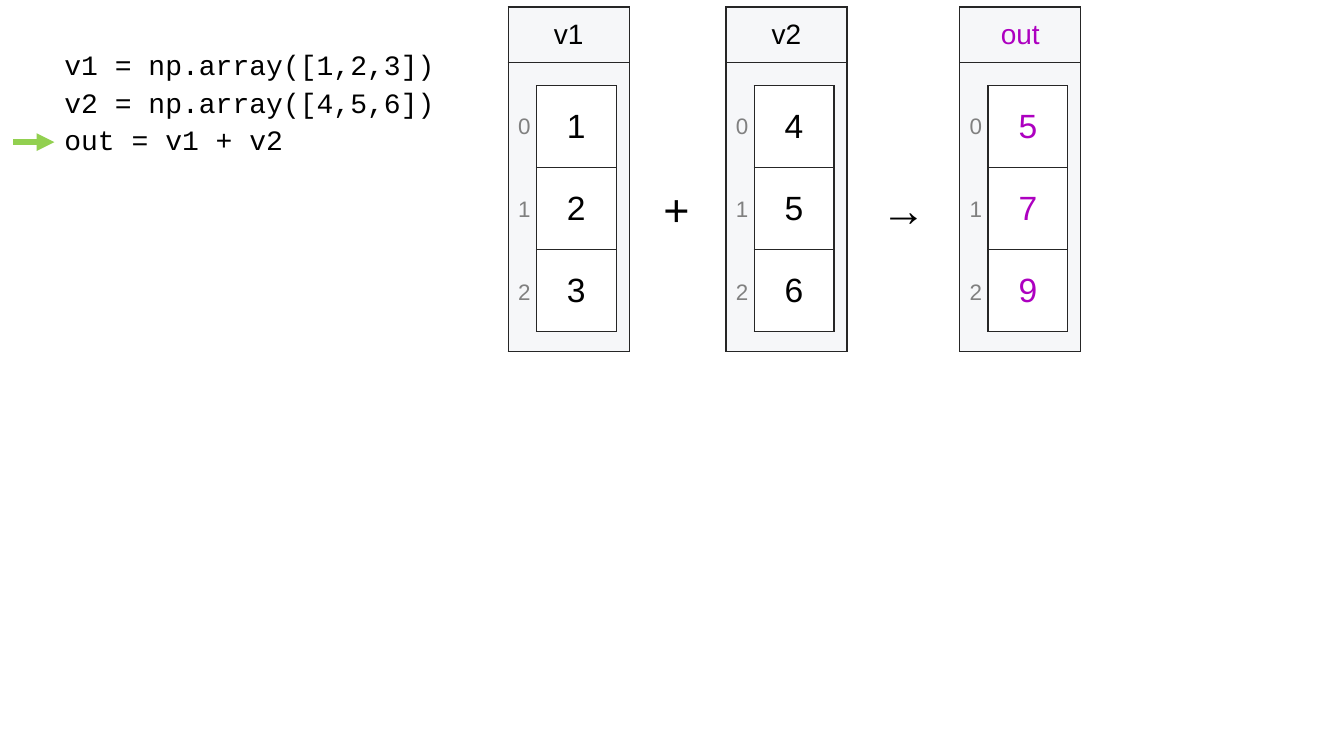
from lxml import etree
from pptx import Presentation
from pptx.dml.color import RGBColor
from pptx.enum.shapes import MSO_CONNECTOR
from pptx.enum.text import MSO_ANCHOR, MSO_AUTO_SIZE, PP_ALIGN
from pptx.oxml.ns import qn
from pptx.util import Inches, Pt

STRAIGHT = MSO_CONNECTOR.STRAIGHT
MIDDLE = MSO_ANCHOR.MIDDLE
CENTER = PP_ALIGN.CENTER
FIT_SHAPE = MSO_AUTO_SIZE.SHAPE_TO_FIT_TEXT

BLACK = RGBColor(0x00, 0x00, 0x00)
WHITE = RGBColor(0xFF, 0xFF, 0xFF)
BORDER = RGBColor(0x26, 0x26, 0x26)
PANEL = RGBColor(0xF6, 0xF7, 0xF9)
GREY = RGBColor(0x80, 0x80, 0x80)
GREEN = RGBColor(0x92, 0xD0, 0x50)
PURPLE = RGBColor(0xAD, 0x00, 0xC0)

COL, ROW = 0.12, 0.075  # grid pitch in inches
SANS, MONO = "Arial", "Courier New"


class ArrayDiagram:
    """Draws on one slide; positions and sizes are grid columns and rows."""

    def __init__(self, slide):
        self.s = slide

    def x(self, cols):
        return Inches(cols * COL)

    def y(self, rows):
        return Inches(rows * ROW)

    def run(self, p, text, size, color, font):
        r = p.add_run()
        r.text = text
        r.font.size = Pt(size)
        r.font.name = font
        r.font.color.rgb = color

    def text(self, text, left, top, width, height, size,
             color=BLACK, font=SANS, wrap=False):
        sp = self.s.shapes.add_textbox(
            self.x(left), self.y(top), self.x(width), self.y(height))
        tf = sp.text_frame
        tf.word_wrap = wrap
        tf.auto_size = FIT_SHAPE
        self.run(tf.paragraphs[0], text, size, color, font)

    def border(self, cell):
        tc_pr = cell._tc.get_or_add_tcPr()
        for i, side in enumerate(("lnL", "lnR", "lnT", "lnB")):
            ln = etree.Element(qn(f"a:{side}"), w=str(Pt(1)))
            fill = etree.SubElement(ln, qn("a:solidFill"))
            etree.SubElement(fill, qn("a:srgbClr"), val=str(BORDER))
            tc_pr.insert(i, ln)

    def table(self, texts, left, top, width, heights, size, color, fill):
        """One-column table; an empty text leaves its cell blank."""
        table = self.s.shapes.add_table(
            len(texts), 1, self.x(left), self.y(top),
            self.x(width), self.y(sum(heights))).table
        table.first_row = table.horz_banding = False
        for i, (text, height) in enumerate(zip(texts, heights)):
            table.rows[i].height = self.y(height)
            cell = table.cell(i, 0)
            cell.fill.solid()
            cell.fill.fore_color.rgb = fill
            self.border(cell)
            cell.vertical_anchor = MIDDLE
            p = cell.text_frame.paragraphs[0]
            p.alignment = CENTER
            if text:
                self.run(p, text, size, color, SANS)

    def vector(self, name, values, left, color=BLACK):
        """Titled panel holding the indexed values of an array."""
        self.table([name, ""], left, 0.93, 10, [7.33, 38.27], 20, color, PANEL)
        self.table([str(v) for v in values], left + 2.33, 11.33, 6.6,
                   [10.85] * len(values), 24, color, WHITE)
        for i in range(len(values)):
            self.text(str(i), left, 14.13 + 11 * i, 2.92, 4.93, 16, GREY,
                      wrap=True)

    def arrow(self, left, right, row):
        line = self.s.shapes.add_connector(
            STRAIGHT, self.x(left), self.y(row), self.x(right), self.y(row))
        line.line.color.rgb = GREEN
        line.line.width = Pt(4.25)
        etree.SubElement(line.line._get_or_add_ln(), qn("a:tailEnd"),
                         type="triangle")
        etree.SubElement(line._element.spPr, qn("a:effectLst"))


def main():
    prs = Presentation()
    prs.slide_width, prs.slide_height = Inches(13.33), Inches(7.5)
    d = ArrayDiagram(prs.slides.add_slide(prs.slide_layouts[6]))

    code = [("v1 = np.array([1,2,3])", 32.5),
            ("v2 = np.array([4,5,6])", 32.5),
            ("out = v1 + v2", 19.92)]
    for i, (statement, width) in enumerate(code):
        d.text(statement, 4.5, 5.6 + 5 * i, width, 5.87, 20, font=MONO)
    d.arrow(1.08, 4.5, 18.8)

    v1, v2 = [1, 2, 3], [4, 5, 6]
    d.vector("v1", v1, 42)
    d.text("+", 54, 23.33, 3.83, 8.53, 32)
    d.vector("v2", v2, 60)
    d.text("→", 72, 23.33, 5.33, 8.53, 32)
    d.vector("out", [a + b for a, b in zip(v1, v2)], 79.33, PURPLE)

    prs.save("out.pptx")


if __name__ == "__main__":
    main()
